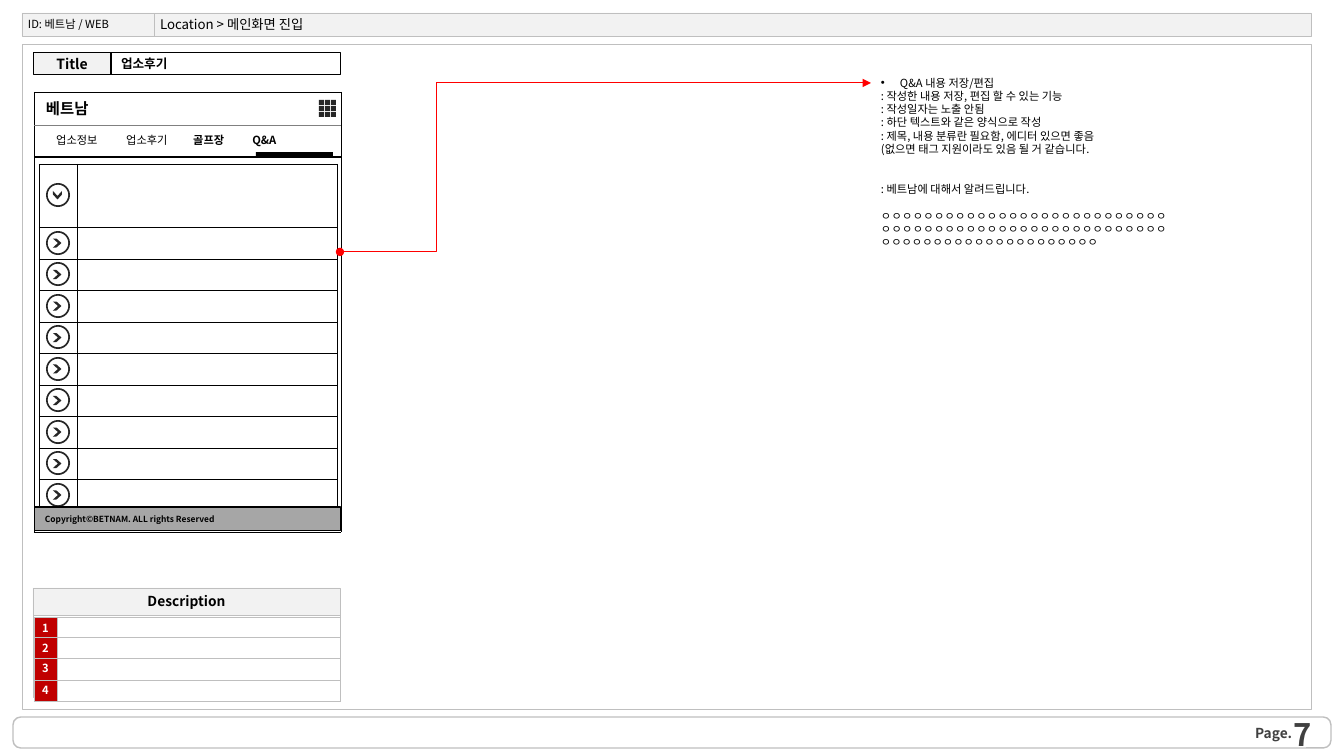
from pptx import Presentation
from pptx.dml.color import RGBColor
from pptx.enum.shapes import MSO_CONNECTOR, MSO_SHAPE
from pptx.enum.text import MSO_ANCHOR, MSO_AUTO_SIZE, PP_ALIGN
from pptx.oxml.ns import qn
from pptx.oxml.xmlchemy import OxmlElement
from pptx.util import Pt
from lxml import etree

PX = 9071  # EMU in one px
TENTH = PX / 10
RECT, ROUND, DONUT = MSO_SHAPE.RECTANGLE, MSO_SHAPE.ROUNDED_RECTANGLE, MSO_SHAPE.DONUT
TAB_BAR = MSO_SHAPE.FLOWCHART_ALTERNATE_PROCESS
STRAIGHT, ELBOW = MSO_CONNECTOR.STRAIGHT, MSO_CONNECTOR.ELBOW
LEFT, CENTER, RIGHT, JUSTIFY = PP_ALIGN.LEFT, PP_ALIGN.CENTER, PP_ALIGN.RIGHT, PP_ALIGN.JUSTIFY
TOP, MIDDLE = MSO_ANCHOR.TOP, MSO_ANCHOR.MIDDLE
FONT = "Noto Sans CJK KR"
COLORS = {
    "ink": "000000", "white": "FFFFFF", "panel": "F2F2F2", "border": "BFBFBF",
    "footer": "A6A6A6", "rule": "808080", "page": "404040", "icon": "262626",
    "number": "C00000", "arrow": "FF0000",
}
PALETTE = {name: RGBColor.from_string(value) for name, value in COLORS.items()}

deck = Presentation()
deck.slide_width, deck.slide_height = 1344 * PX, 756 * PX
page = deck.slides.add_slide(deck.slide_layouts[5])
shapes = page.shapes


def place(kind, left, top, width, height, fill=None, line=None, weight=0.25,
          inset=(10, 5, 10, 5), anchor=MIDDLE):
    """Add a preset shape, or a text box when kind is None; inset is left, top, right, bottom."""
    area = [length * PX for length in (left, top, width, height)]
    if kind is None:
        shape = shapes.add_textbox(*area)
    else:
        shape = shapes.add_shape(kind, *area)
        shape.shadow.inherit = False
        shape.fill.background()
        shape.line.fill.background()
    if fill:
        shape.fill.solid()
        shape.fill.fore_color.rgb = PALETTE[fill]
    if line:
        shape.line.color.rgb = PALETTE[line]
        shape.line.width = Pt(weight)
    frame = shape.text_frame
    frame.word_wrap = True
    frame.vertical_anchor = anchor
    frame.margin_left, frame.margin_top, frame.margin_right, frame.margin_bottom = (
        side * PX for side in inset)
    return shape


def write(para, text, size, bold=False, color="ink", align=LEFT, font=FONT):
    para.alignment = align
    span = para.add_run()
    span.text = text
    span.font.size = Pt(size)
    span.font.bold = bold
    span.font.color.rgb = PALETTE[color]
    span.font.name = font
    east_asian = OxmlElement("a:ea")
    east_asian.set("typeface", font)
    span.font._element.append(east_asian)


# Page frame and header
place(ROUND, 13, 717, 1318, 31, line="border", weight=1).adjustments[0] = 0.25
place(RECT, 22, 44, 1289, 665, line="border")
location_bar = place(RECT, 154, 13, 1157, 23, "panel", "border")
place(RECT, 22, 13, 132, 23, "panel", "border")

title = shapes.title
location_bar.element.addnext(title.element)
title.left, title.top, title.width, title.height = 155 * PX, 10 * PX, 819 * PX, 28 * PX
title_frame = title.text_frame
title_frame.auto_size = MSO_AUTO_SIZE.NONE
title_frame.vertical_anchor = MIDDLE
title_frame.margin_left = 5 * PX
title_frame.margin_top = title_frame.margin_right = title_frame.margin_bottom = 0
write(title_frame.paragraphs[0], "Location > 메인화면 진입", 9.5)

# Tables: left, top, column widths, row heights, border, first-column labels
tables = [
    (34, 617, [23, 283], [18, 18, 22, 22], "border", ["1", "2", "3", "4"]),
    (34, 92, [307], [440], "ink", []),
    (39, 164, [38, 260], [63] + [32, 31] * 4 + [32], "ink", []),
]
place(RECT, 33, 615, 307, 82, line="border")
for left, top, widths, heights, border, labels in tables:
    table = shapes.add_table(len(heights), len(widths), left * PX, top * PX,
                             sum(widths) * PX, sum(heights) * PX).table
    table.first_row = table.horz_banding = False
    for column, width in zip(table.columns, widths):
        column.width = width * PX
    for r, height in enumerate(heights):
        table.rows[r].height = height * PX
        for c in range(len(widths)):
            cell = table.cell(r, c)
            cell.margin_left = cell.margin_right = cell.margin_top = cell.margin_bottom = 2 * PX
            numbered = labels and c == 0
            cell.fill.solid()
            cell.fill.fore_color.rgb = PALETTE["number" if numbered else "white"]
            para = cell.text_frame.paragraphs[0]
            if numbered:
                write(para, labels[r], 8, True, "white", CENTER)
            else:
                etree.SubElement(para._p, qn("a:endParaRPr"), sz="800")
            for i, side in enumerate(("lnL", "lnR", "lnT", "lnB")):
                edge = OxmlElement(f"a:{side}")
                edge.set("w", str(Pt(0.25)))
                solid = etree.SubElement(edge, qn("a:solidFill"))
                etree.SubElement(solid, qn("a:srgbClr"), val=COLORS[border])
                cell._tc.get_or_add_tcPr().insert(i, edge)

# Arrow icons, centred in each row of the question list
chevron = [(-45, -45), (-10, -45), (40, 0), (-10, 45), (-45, 45), (5, 0)]
row_top = 164
for r, height in enumerate(tables[2][3]):
    middle = row_top * 10 + height * 5
    row_top += height
    place(DONUT, 46, middle // 10 - 12, 24, 24, "icon").adjustments[0] = 0.07
    points = [(575 + (y if r == 0 else x), middle + (x if r == 0 else y)) for x, y in chevron]
    builder = shapes.build_freeform(*points[0], scale=TENTH)
    builder.add_line_segments(points[1:], close=True)
    arrow = builder.convert_to_shape()
    arrow.shadow.inherit = False
    arrow.fill.solid()
    arrow.fill.fore_color.rgb = PALETTE["icon"]
    arrow.line.fill.background()

# Menu icon: three by three squares
for i in range(9):
    place(RECT, 319 + i % 3 * 6, 100 + i // 3 * 6, 5, 5, "icon")

# Rules, and the callout from the list to the notes
for kind, x1, y1, x2, y2, color, weight in (
    (STRAIGHT, 34, 157, 341, 157, "ink", 0),
    (STRAIGHT, 34, 126, 341, 126, "rule", 0.75),
    (ELBOW, 340, 252, 871, 83, "arrow", 0.75),
):
    connector = shapes.add_connector(kind, x1 * PX, y1 * PX, x2 * PX, y2 * PX)
    connector.line.color.rgb = PALETTE[color]
    connector.line.width = Pt(weight)
    properties = connector._element.spPr
    if kind == ELBOW:
        guides = properties.find(qn("a:prstGeom")).get_or_add_avLst()
        etree.SubElement(guides, qn("a:gd"), name="adj1", fmla="val 18200")
        for end, tip in (("headEnd", "oval"), ("tailEnd", "triangle")):
            etree.SubElement(properties.find(qn("a:ln")), qn(f"a:{end}"), type=tip)
    etree.SubElement(properties, qn("a:effectLst"))
place(RECT, 256, 152, 77, 4, "ink")

# Single-line labels
flat = (0, 0, 0, 0)
for shape, text, style in (
    (place(None, 1255, 725, 56, 17, inset=flat), "Page.", (9.8, True, "page")),
    (place(None, 1009, 726, 313, 16), "7", (22.1, True, "page", RIGHT)),
    (place(None, 23, 10, 132, 28, inset=(5, 0, 0, 0)), "ID: 베트남 / WEB", (8,)),
    (place(RECT, 33, 53, 78, 22, "panel", "ink", 0), "Title", (10, True, "ink", CENTER)),
    (place(RECT, 111, 53, 230, 22, None, "ink", 0), "업소후기", (9, True)),
    (place(RECT, 33, 588, 307, 27, "panel", "border"), "Description",
     (9.8, True, "ink", CENTER)),
    (place(None, 32, 92, 307, 32, inset=(14, 5, 10, 5)), "베트남",
     (11, True, "ink", LEFT, "Arial")),
    (place(RECT, 35, 507, 306, 24, "footer", "ink", 0),
     "Copyright©BETNAM. ALL rights Reserved", (6, True, "ink", JUSTIFY)),
):
    write(shape.text_frame.paragraphs[0], text, *style)

# Tab names, spaced by tab stops
tab_bar = place(TAB_BAR, 34, 127, 320, 26, inset=(21, 5, 10, 5))
para = tab_bar.text_frame.paragraphs[0]
for text, bold in (("업소정보\t업소후기\t", False), ("골프장\tQ&A", True)):
    write(para, text, 8, bold)
stops = etree.SubElement(para._p.get_or_add_pPr(), qn("a:tabLst"))
for stop in (70, 137, 196):
    etree.SubElement(stops, qn("a:tab"), pos=str(stop * PX), algn="l")

# Notes: text and the space before it in points
notes = place(None, 871, 71, 306, 190, anchor=TOP).text_frame
for i, (text, gap) in enumerate((
    ("Q&A 내용 저장/편집", 0),
    (": 작성한 내용 저장, 편집 할 수 있는 기능", 0),
    (": 작성일자는 노출 안됨", 0),
    (": 하단 텍스트와 같은 양식으로 작성", 0),
    (": 제목, 내용 분류란 필요함, 에디터 있으면 좋음", 0),
    ("(없으면 태그 지원이라도 있음 될 거 같습니다.", 0),
    (": 베트남에 대해서 알려드립니다.", 19),
    ("ㅇ" * 75, 9.5),
)):
    para = notes.add_paragraph() if i else notes.paragraphs[0]
    para.line_spacing = Pt(9.5)
    para.space_before = Pt(gap)
    write(para, text, 8, align=JUSTIFY)
bullet = notes.paragraphs[0]._p.get_or_add_pPr()
bullet.set("marL", str(19 * PX))
bullet.set("indent", str(-19 * PX))
etree.SubElement(bullet, qn("a:buFont"), typeface="Arial")
etree.SubElement(bullet, qn("a:buChar"), char="•")

deck.save("out.pptx")
